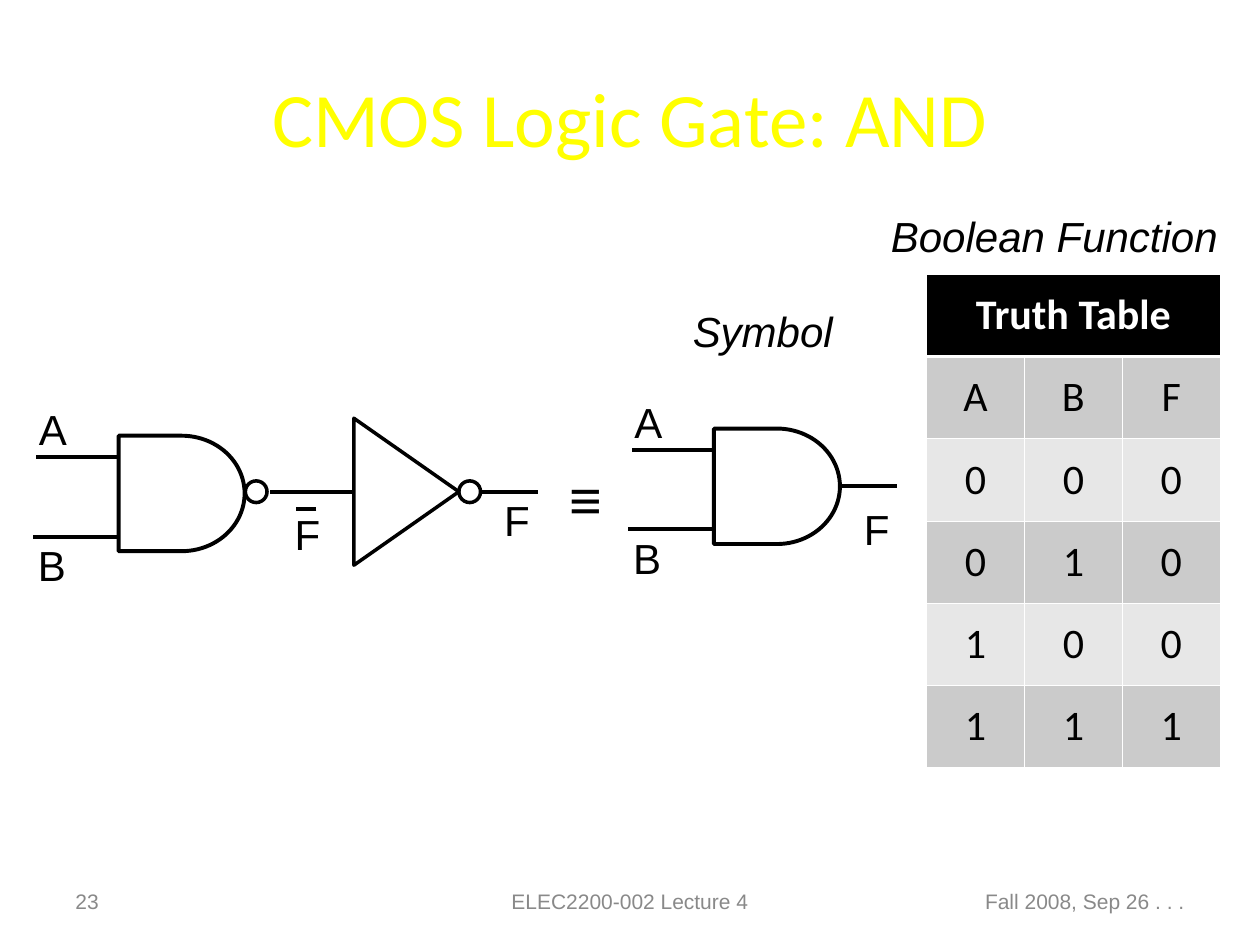
from lxml import etree
from pptx import Presentation
from pptx import util as u
from pptx.dml.color import RGBColor
from pptx.enum import shapes, text
from pptx.oxml.ns import qn

Pt = u.Pt
INK = {"black": "000000", "white": "FFFFFF", "title": "FFFF00",
       "foot": "898989", "dark": "CBCBCB", "light": "E7E7E7"}
FORM = shapes.MSO_SHAPE
SIDE = text.PP_ALIGN
MID = text.MSO_ANCHOR.MIDDLE


def tint(name):
    """Return the named colour."""
    return RGBColor.from_string(INK[name])


def write(frame, words, size=24, font="Arial", ink="black", bold=False,
          slant=False, align=SIDE.LEFT, anchor=None, wrap=None):
    """Fill a text frame with one formatted paragraph."""
    if wrap is not None:
        frame.word_wrap = wrap
    if anchor is not None:
        frame.vertical_anchor = anchor
    para = frame.paragraphs[0]
    para.alignment = align
    run = para.add_run()
    run.text = words
    run.font.size, run.font.name = Pt(size), font
    run.font.bold, run.font.italic = bold, slant
    run.font.color.rgb = tint(ink)


def label(slide, words, x, y, w=30, h=36, wrap=False, **form):
    """Place a text box."""
    box = slide.shapes.add_textbox(Pt(x), Pt(y), Pt(w), Pt(h))
    write(box.text_frame, words, wrap=wrap, **form)


def wire(slide, x, y, end):
    """Draw a level wire from x to end."""
    line = slide.shapes.add_connector(
        shapes.MSO_CONNECTOR.STRAIGHT, Pt(x), Pt(y), Pt(end), Pt(y))
    line.line.width = Pt(2.25)
    line.line.color.rgb = tint("black")
    etree.SubElement(line._element.spPr, qn("a:effectLst"))
    return line


def outline(slide, form, x, y, w, h, width=2):
    """Draw an unfilled black outline."""
    shape = slide.shapes.add_shape(form, Pt(x), Pt(y), Pt(w), Pt(h))
    shape.shadow.inherit = False
    shape.fill.background()
    shape.line.width = Pt(width)
    shape.line.color.rgb = tint("black")
    return shape


def gate(slide, x, y, w=72, h=66):
    """Draw an AND body with its two labelled inputs."""
    label(slide, "A", x - 52.6, y - 22)
    label(slide, "B", x - 53.3, y + 55.7)
    wire(slide, x, y + 12.4, x - 47)
    wire(slide, x, y + 57.6, x - 49)
    return outline(slide, FORM.FLOWCHART_DELAY, x, y, w, h, 2.25)


def bubble(slide, x, mid, size=12.4):
    """Draw an inversion bubble centred on the level mid."""
    outline(slide, FORM.OVAL, x, mid - size / 2, size, size)


def nand(slide, x, y):
    """Draw the NAND gate and its inverted output."""
    mid = y + 32
    gate(slide, x, y)
    bubble(slide, x + 72.4, mid)
    wire(slide, x + 134.4, mid, x + 86.4)
    label(slide, "F", x + 93.5, y + 37.8)
    wire(slide, x + 113, y + 41.8, x + 101.5)


def invert(slide, x, mid, w=60, h=84):
    """Draw the inverter and its output."""
    body = outline(slide, FORM.ISOSCELES_TRIANGLE,
                   x + (w - h) / 2, mid - w / 2, h, w)
    body.rotation = 90
    bubble(slide, x + w, mid)
    wire(slide, x + w + 12, mid, x + w + 45)
    label(slide, "F", x + 78.7, mid - 2, w=24, wrap=True)


def symbol(slide, x, y):
    """Draw the AND symbol with its heading and output."""
    label(slide, "Symbol", x - 19.2, y - 74, w=108, wrap=True, slant=True)
    body = gate(slide, x, y)
    wire(slide, x + 72, y + 33, x + 104.6).begin_connect(body, 3)
    label(slide, "F", x + 78.6, y + 39.1)


def edge(cell, widths):
    """Set white left, right, top and bottom cell borders."""
    props = cell._tc.get_or_add_tcPr()
    for spot, (side, width) in enumerate(zip("LRTB", widths)):
        line = etree.Element(qn("a:ln" + side), w=str(Pt(width)))
        fill = etree.SubElement(line, qn("a:solidFill"))
        etree.SubElement(fill, qn("a:srgbClr"), val=INK["white"])
        props.insert(spot, line)


def truth(slide, x, y, w=168, h=282):
    """Place the truth table under its heading."""
    label(slide, "Boolean Function", x - 27.4, y - 40, w=201, slant=True)
    rows = [["Truth Table", "", ""], "ABF", "000", "010", "100", "111"]
    table = slide.shapes.add_table(
        len(rows), 3, Pt(x), Pt(y), Pt(w), Pt(h)).table
    table.first_row = table.horz_banding = False
    for r, row in enumerate(rows):
        head = r == 0
        back = "black" if head else "dark" if r % 2 else "light"
        for c, words in enumerate(row):
            cell = table.cell(r, c)
            cell.fill.solid()
            cell.fill.fore_color.rgb = tint(back)
            edge(cell, (0.45, 0.45, 1.47 if r == 1 else 0.45,
                        1.47 if head else 0.45))
            cell.vertical_anchor = MID
            if words:
                write(cell.text_frame, words, font="Calibri", bold=head,
                      ink="white" if head else "black", align=SIDE.CENTER)
    table.cell(0, 0).merge(table.cell(0, 2))


def title(slide, x, y, w, h):
    """Place and format the title."""
    head = slide.shapes.title
    head.left, head.top, head.width, head.height = map(Pt, (x, y, w, h))
    write(head.text_frame, "CMOS Logic Gate: AND", size=44, font="Calibri",
          ink="title", align=SIDE.CENTER, anchor=MID)


def footer(slide, x, y, w, h):
    """Place page number, course and date across the foot."""
    parts = [("23", 0, 168, SIDE.LEFT),
             ("ELEC2200-002 Lecture 4", (w - 228) / 2, 228, SIDE.CENTER),
             ("Fall 2008, Sep 26 . . .", w - 168, 168, SIDE.RIGHT)]
    for words, left, wide, align in parts:
        label(slide, words, x + left, y, w=wide, h=h, size=12, ink="foot",
              align=align, anchor=MID, wrap=True)


def main():
    """Build the slide and save it."""
    deck = Presentation()
    deck.slide_width, deck.slide_height = Pt(720), Pt(540)
    slide = deck.slides.add_slide(deck.slide_layouts[5])
    title(slide, 36, 21.6, 648, 90)
    footer(slide, 36, 500.5, 648, 28.8)
    truth(slide, 529.4, 156.7, 168, 282)
    nand(slide, 67.8, 249)
    invert(slide, 202.2, 281)
    label(slide, "≡", 318.2, 262, w=33, h=46, size=32)
    symbol(slide, 408, 244.9)
    deck.save("out.pptx")


if __name__ == "__main__":
    main()
